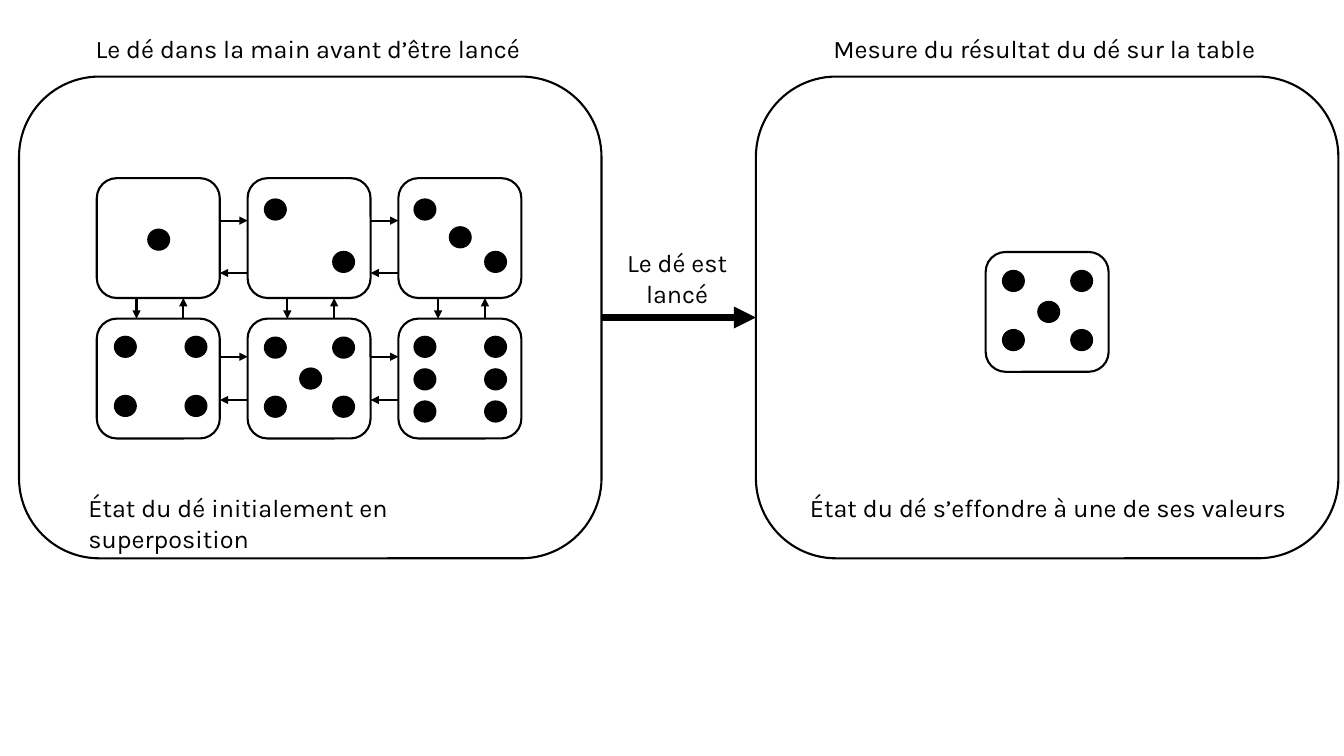
from dataclasses import dataclass

from lxml import etree
from pptx import Presentation
from pptx import util as u
from pptx.dml.color import RGBColor
from pptx.enum import shapes, text
from pptx.oxml.ns import qn

COLOURS = {"ink": "000000", "paper": "FFFFFF"}
FONT = "Karla"

DIE_WIDTH, DIE_HEIGHT = 3.1, 3.02
PIP_WIDTH, PIP_HEIGHT = 0.58, 0.56
COLUMNS = [2.44 + 3.8 * column for column in range(3)]
ROWS = [4.49, 8.03]

# Pip corners in cm from the top left of the die
PIPS = {
    1: [(1.27, 1.27)],
    2: [(0.41, 0.51), (2.13, 1.83)],
    3: [(0.38, 0.51), (1.27, 1.21), (2.16, 1.83)],
    4: [(x, y) for x in (0.43, 2.21) for y in (0.43, 1.92)],
    5: [(x, y) for x in (0.41, 2.13) for y in (0.45, 1.94)] + [(1.3, 1.23)],
    6: [(x, y) for x in (0.38, 2.16) for y in (0.43, 1.25, 2.06)],
}


@dataclass
class Die:
    value: int
    left: float
    top: float


@dataclass
class Arrow:
    start: tuple[float, float]
    end: tuple[float, float]


@dataclass
class Label:
    wording: str
    left: float
    top: float
    width: float
    height: float = 1.02
    centred: bool = False


DICE = [
    Die(1 + column + 3 * row, left, top)
    for row, top in enumerate(ROWS)
    for column, left in enumerate(COLUMNS)
] + [Die(5, 24.84, 6.35)]

LABELS = [
    Label("Le dé dans la main avant d’être lancé", 2.16, 0.71, 11.3),
    Label("Mesure du résultat du dé sur la table", 20.75, 0.71, 11.3),
    Label("État du dé initialement en superposition", 1.98, 12.29, 11.71),
    Label("État du dé s’effondre à une de ses valeurs", 19.81, 12.29, 13.21, centred=True),
    Label("Le dé est lancé", 15.06, 6.12, 4.01, 1.8, centred=True),
]


def colour(name: str) -> RGBColor:
    return RGBColor.from_string(COLOURS[name])


def add_box(page, kind, left: float, top: float, width: float, height: float,
            fill: str | None = None, outlined: bool = True):
    box = page.shapes.add_shape(kind, u.Cm(left), u.Cm(top), u.Cm(width), u.Cm(height))
    box.shadow.inherit = False
    if fill:
        box.fill.solid()
        box.fill.fore_color.rgb = colour(fill)
    else:
        box.fill.background()
    if outlined:
        box.line.color.rgb = colour("ink")
        box.line.width = u.Pt(1.5)
    else:
        box.line.fill.background()
    return box


def add_panel(page, left: float):
    return add_box(page, shapes.MSO_SHAPE.ROUNDED_RECTANGLE, left, 1.93, 14.68, 12.14)


def add_die(page, die: Die) -> None:
    add_box(page, shapes.MSO_SHAPE.ROUNDED_RECTANGLE, die.left, die.top,
            DIE_WIDTH, DIE_HEIGHT, fill="paper")
    for x, y in PIPS[die.value]:
        add_box(page, shapes.MSO_SHAPE.OVAL, die.left + x, die.top + y,
                PIP_WIDTH, PIP_HEIGHT, fill="ink", outlined=False)


def add_arrow(page, arrow: Arrow, weight: float = 1.5):
    points = [u.Cm(value) for value in (*arrow.start, *arrow.end)]
    connector = page.shapes.add_connector(shapes.MSO_CONNECTOR.STRAIGHT, *points)
    connector.line.color.rgb = colour("ink")
    connector.line.width = u.Pt(weight)
    etree.SubElement(connector.line._get_or_add_ln(), qn("a:tailEnd"), type="triangle")
    etree.SubElement(connector._element.spPr, qn("a:effectLst"))
    return connector


def exchange_arrows() -> list[Arrow]:
    """Pairs of opposite arrows between neighbouring dice."""
    arrows = []
    for left, right in zip(COLUMNS, COLUMNS[1:]):
        for forth, back in ((5.56, 6.88), (8.99, 10.08)):
            arrows.append(Arrow((left + DIE_WIDTH, forth), (right, forth)))
            arrows.append(Arrow((right, back), (left + DIE_WIDTH, back)))
    upper, lower = ROWS[0] + DIE_HEIGHT, ROWS[1]
    for left in COLUMNS:
        down, up = left + 1.0, left + 2.18
        arrows.append(Arrow((down, upper), (down, lower)))
        arrows.append(Arrow((up, lower), (up, upper)))
    return arrows


def write(para, wording: str, *, size: float = 18, ink: str = "ink",
          centred: bool = False) -> None:
    para.alignment = text.PP_ALIGN.CENTER if centred else text.PP_ALIGN.LEFT
    span = para.add_run()
    span.text = wording
    span.font.name = FONT
    span.font.size = u.Pt(size)
    span.font.color.rgb = colour(ink)


def add_label(page, label: Label) -> None:
    box = page.shapes.add_textbox(u.Cm(label.left), u.Cm(label.top),
                                  u.Cm(label.width), u.Cm(label.height))
    box.text_frame.word_wrap = True
    box.text_frame.auto_size = text.MSO_AUTO_SIZE.SHAPE_TO_FIT_TEXT
    write(box.text_frame.paragraphs[0], label.wording, centred=label.centred)


def main() -> None:
    deck = Presentation()
    deck.slide_width, deck.slide_height = u.Cm(33.87), u.Cm(19.05)
    page = deck.slides.add_slide(deck.slide_layouts[6])

    hand = add_panel(page, 0.48)
    table = add_panel(page, 19.05)
    for die in DICE:
        add_die(page, die)
    for arrow in exchange_arrows():
        add_arrow(page, arrow)

    throw = add_arrow(page, Arrow((15.16, 8.0), (19.05, 8.0)), weight=5.25)
    throw.begin_connect(hand, 3)
    throw.end_connect(table, 1)

    for label in LABELS:
        add_label(page, label)
    deck.save("out.pptx")


if __name__ == "__main__":
    main()
